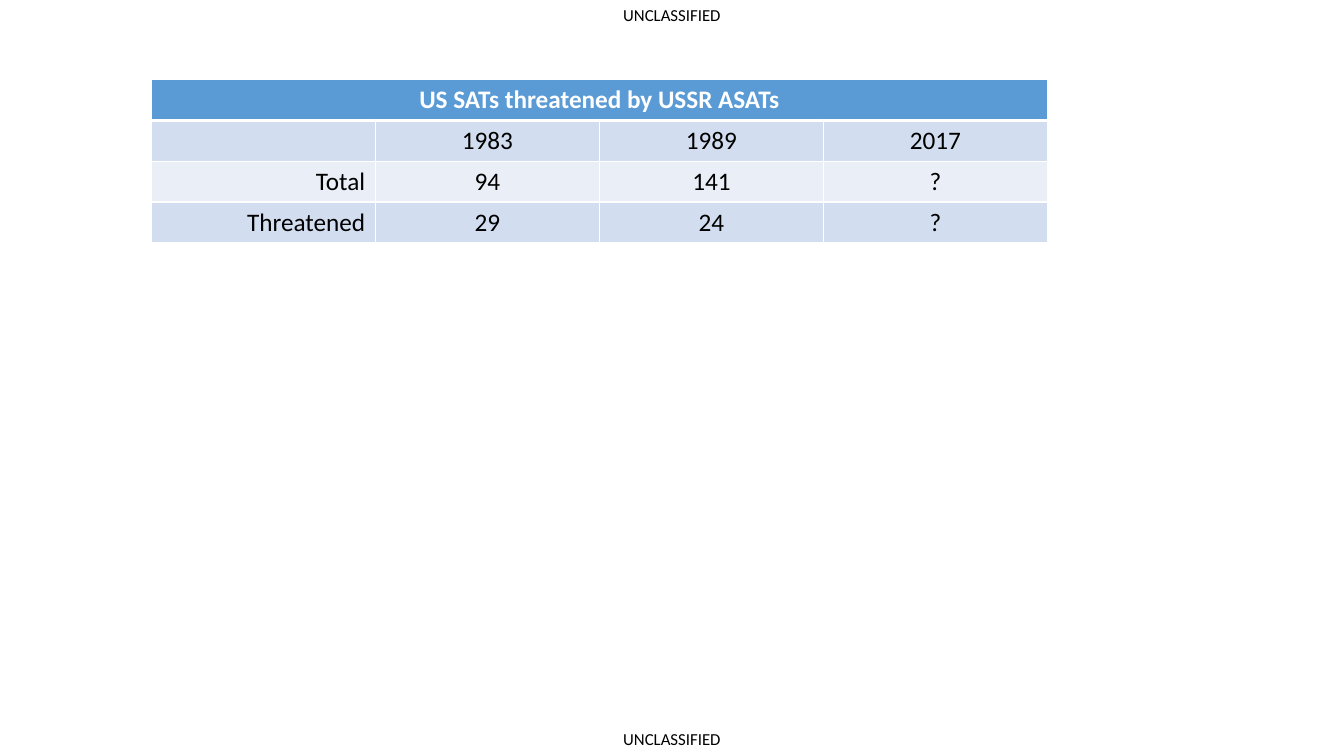
from dataclasses import dataclass

from lxml import etree
from pptx import Presentation
from pptx.dml.color import RGBColor
from pptx.enum.text import MSO_AUTO_SIZE, PP_ALIGN
from pptx.oxml.ns import qn
from pptx.util import Inches, Pt

CENTER, RIGHT = PP_ALIGN.CENTER, PP_ALIGN.RIGHT
FIT = MSO_AUTO_SIZE.SHAPE_TO_FIT_TEXT


@dataclass(frozen=True)
class Theme:
    """Colours, font and type sizes of the slide."""
    font: str = "Calibri"
    black: str = "000000"
    white: str = "FFFFFF"
    head: str = "5B9BD5"
    bands: tuple = ("D2DEEF", "EAEFF7")
    mark: int = 12
    body: int = 18


THEME = Theme()
TITLE = "US SATs threatened by USSR ASATs"
ROWS = [
    ("", "1983", "1989", "2017"),
    ("Total", "94", "141", "?"),
    ("Threatened", "29", "24", "?"),
]


def put_text(frame, text, size=THEME.body, color=THEME.black, bold=False, align=CENTER):
    """Write one formatted line into a text frame."""
    line = frame.paragraphs[0]
    line.alignment = align
    run = line.add_run()
    run.text = text
    run.font.name = THEME.font
    run.font.size = Pt(size)
    run.font.bold = bold
    run.font.color.rgb = RGBColor.from_string(color)


def add_mark(slide, top):
    """Add a classification mark across the slide."""
    box = slide.shapes.add_textbox(0, Inches(top), Inches(13.33), Inches(0.3))
    box.text_frame.word_wrap = True
    box.text_frame.auto_size = FIT
    put_text(box.text_frame, "UNCLASSIFIED", size=THEME.mark)


def style_cell(cell, fill, base=1):
    """Give a cell white borders and a solid fill."""
    props = cell._tc.get_or_add_tcPr()
    for side, width in (("L", 1), ("R", 1), ("T", 1), ("B", base)):
        line = etree.SubElement(props, qn(f"a:ln{side}"), w=str(Pt(width)))
        solid = etree.SubElement(line, qn("a:solidFill"))
        etree.SubElement(solid, qn("a:srgbClr"), val=THEME.white)
    cell.fill.solid()
    cell.fill.fore_color.rgb = RGBColor.from_string(fill)


def add_grid(slide):
    """Add the satellite table with its merged title row."""
    count = len(ROWS[0])
    high = Inches(0.405)
    wide = Inches(2.2225)
    tall = len(ROWS) + 1
    grid = slide.shapes.add_table(
        tall, count, Inches(1.5), Inches(0.79), wide * count, high * tall
    ).table
    for col in range(count):
        style_cell(grid.cell(0, col), THEME.head, base=3)
    title = grid.cell(0, 0)
    title.merge(grid.cell(0, count - 1))
    put_text(title.text_frame, TITLE, color=THEME.white, bold=True)
    for row, values in enumerate(ROWS, 1):
        for col, value in enumerate(values):
            cell = grid.cell(row, col)
            style_cell(cell, THEME.bands[(row - 1) % 2])
            if value:
                put_text(cell.text_frame, value, align=CENTER if col else RIGHT)


def main():
    """Build and save the slide."""
    deck = Presentation()
    deck.slide_width = Inches(13.33)
    deck.slide_height = Inches(7.5)
    slide = deck.slides.add_slide(deck.slide_layouts[6])
    for top in (0, 7.18):
        add_mark(slide, top)
    add_grid(slide)
    deck.save("out.pptx")


if __name__ == "__main__":
    main()
